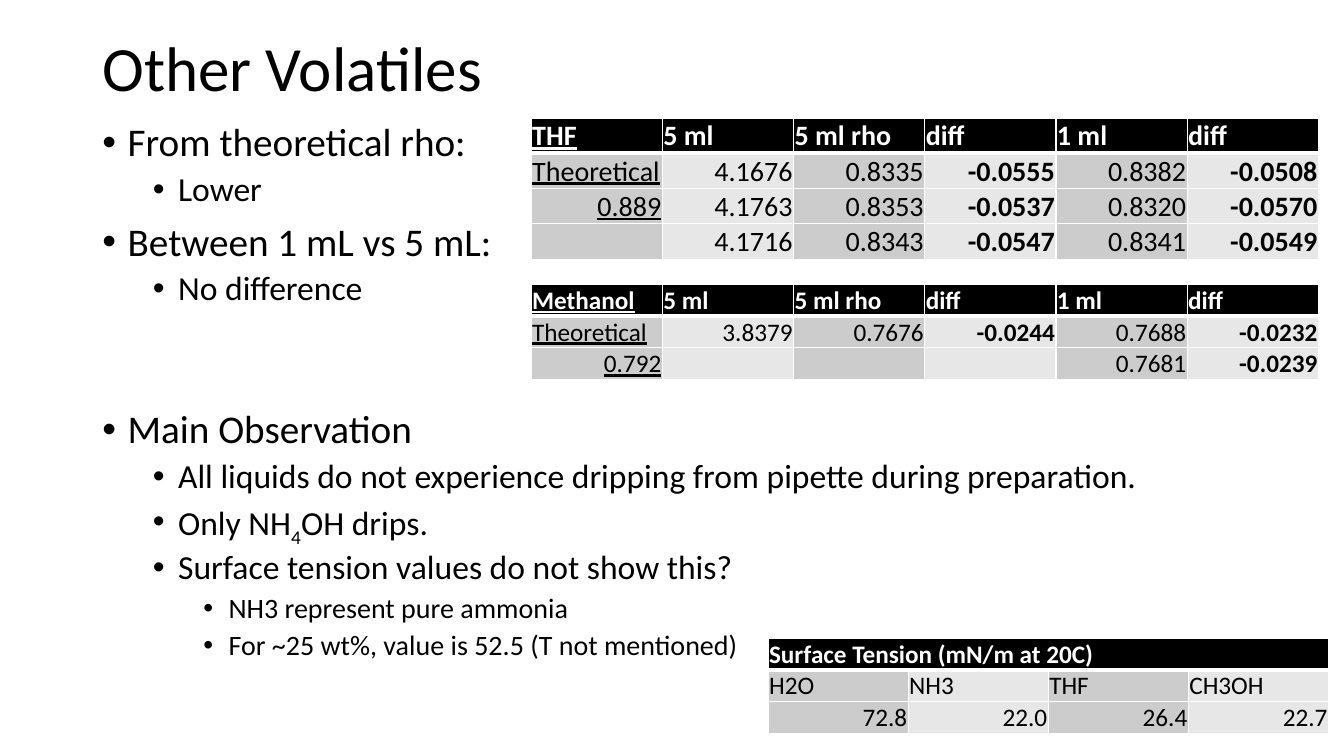
"""Build the slide on density and surface tension of other volatile liquids."""
import lxml.etree
import pptx
import pptx.dml.color
import pptx.enum.text
import pptx.oxml.ns
import pptx.util

COLORS = {"ink": "000000", "paper": "FFFFFF", "dark_band": "CCCCCC", "light_band": "E7E7E7"}
LEVEL_SIZES = (28, 24, 20)
SUBSCRIPT = "-25000"

OBSERVATIONS = (
    (0, 10, [("From theoretical rho:", None)]),
    (1, 5, [("Lower", None)]),
    (0, 10, [("Between 1 mL vs 5 mL:", None)]),
    (1, 5, [("No difference", None)]),
    (0, 72.7, [("Main Observation", None)]),
    (1, 5, [("All liquids do not experience dripping from pipette during preparation.", None)]),
    (1, 5, [("Only NH", None), ("4", SUBSCRIPT), ("OH drips.", None)]),
    (1, 5, [("Surface tension values do not show this?", None)]),
    (2, 5, [("NH3 represent pure ammonia", None)]),
    (2, 5, [("For ~25 wt%, value is 52.5 (T not mentioned)", None)]),
)
MEASURES = ("5 ml", "5 ml rho", "diff", "1 ml", "diff")
THF = (
    ("THF", *MEASURES),
    ("Theoretical", "4.1676", "0.8335", "-0.0555", "0.8382", "-0.0508"),
    ("0.889", "4.1763", "0.8353", "-0.0537", "0.8320", "-0.0570"),
    ("", "4.1716", "0.8343", "-0.0547", "0.8341", "-0.0549"),
)
METHANOL = (
    ("Methanol", *MEASURES),
    ("Theoretical", "3.8379", "0.7676", "-0.0244", "0.7688", "-0.0232"),
    ("0.792", "", "", "", "0.7681", "-0.0239"),
)
SURFACE_TENSION = (
    ("Surface Tension (mN/m at 20C)", "", "", ""),
    ("H2O", "NH3", "THF", "CH3OH"),
    ("72.8", "22.0", "26.4", "22.7"),
)


def add_xml(parent, tag, **attributes):
    return lxml.etree.SubElement(parent, pptx.oxml.ns.qn(tag), attributes)


class VolatilesSlide:
    font = "Calibri"
    columns, rows = 40, 30

    def __init__(self, deck):
        self.column = deck.slide_width / self.columns
        self.row = deck.slide_height / self.rows
        self.slide = deck.slides.add_slide(deck.slide_layouts[1])

    def area(self, left, top, width, height):
        return (round(left * self.column), round(top * self.row),
                round(width * self.column), round(height * self.row))

    def color(self, name):
        return pptx.dml.color.RGBColor.from_string(COLORS[name])

    def add_text(self, paragraph, text, size, color="ink", bold=False, underline=False):
        run = paragraph.add_run()
        run.text = text
        run.font.name = self.font
        run.font.size = pptx.util.Pt(size)
        run.font.bold = bold
        run.font.underline = underline
        run.font.color.rgb = self.color(color)
        return run

    def place(self, holder, area, anchor):
        holder.left, holder.top, holder.width, holder.height = self.area(*area)
        frame = holder.text_frame
        frame.word_wrap = True
        frame.auto_size = pptx.enum.text.MSO_AUTO_SIZE.NONE
        frame.vertical_anchor = anchor
        return frame

    def title(self, text, area):
        frame = self.place(self.slide.shapes.title, area, pptx.enum.text.MSO_ANCHOR.BOTTOM)
        heading = frame.paragraphs[0]
        heading.alignment = pptx.enum.text.PP_ALIGN.LEFT
        heading.line_spacing = 0.7
        self.add_text(heading, text, 45)

    def bullets(self, items, area):
        frame = self.place(self.slide.placeholders[1], area, pptx.enum.text.MSO_ANCHOR.TOP)
        for index, (level, space, runs) in enumerate(items):
            point = frame.add_paragraph() if index else frame.paragraphs[0]
            point.level = level
            point.line_spacing = 0.9
            point.space_before = pptx.util.Pt(space)
            properties = point._p.get_or_add_pPr()
            properties.set("marL", str(pptx.util.Inches(0.25 + 0.5 * level)))
            properties.set("indent", str(pptx.util.Inches(-0.25)))
            add_xml(properties, "a:buFont", typeface="Arial")
            add_xml(properties, "a:buChar", char="•")
            for text, baseline in runs:
                run = self.add_text(point, text, LEVEL_SIZES[level])
                if baseline:
                    run._r.get_or_add_rPr().set("baseline", baseline)

    def borders(self, cell, row):
        properties = cell._tc.get_or_add_tcPr()
        widths = {"L": 1, "R": 1, "T": 3 if row == 1 else 1, "B": 3 if row == 0 else 1}
        for side, width in widths.items():
            line = add_xml(properties, f"a:ln{side}", w=str(pptx.util.Pt(width)))
            add_xml(add_xml(line, "a:solidFill"), "a:srgbClr", val=COLORS["paper"])

    def table(self, values, area, size, underline_first=False):
        grid = self.slide.shapes.add_table(len(values), len(values[0]), *self.area(*area)).table
        grid.first_row = grid.horz_banding = False
        for row, texts in enumerate(values):
            for column, text in enumerate(texts):
                cell = grid.cell(row, column)
                cell.margin_left = cell.margin_top = cell.margin_right = pptx.util.Inches(0.01)
                cell.margin_bottom = 0
                cell.vertical_anchor = pptx.enum.text.MSO_ANCHOR.BOTTOM
                self.borders(cell, row)
                band = "light_band" if column % 2 else "dark_band"
                cell.fill.solid()
                cell.fill.fore_color.rgb = self.color(band if row else "ink")
                entry = cell.text_frame.paragraphs[0]
                entry.font.size = pptx.util.Pt(size)
                if not text:
                    continue
                if text.lstrip("-").replace(".", "").isdigit():
                    entry.alignment = pptx.enum.text.PP_ALIGN.RIGHT
                self.add_text(entry, text, size, "ink" if row else "paper",
                              bold=row == 0 or values[0][column] == "diff",
                              underline=underline_first and column == 0)
        return grid


def main():
    deck = pptx.Presentation()
    deck.slide_width = pptx.util.Inches(13.33)
    deck.slide_height = pptx.util.Inches(7.5)
    volatiles = VolatilesSlide(deck)
    volatiles.title("Other Volatiles", (2.75, 1.6, 34.5, 2.64))
    volatiles.bullets(OBSERVATIONS, (2.75, 4.68, 35.73, 24.08))
    volatiles.table(THF, (15.81, 4.68, 23.43, 5.52), 20, underline_first=True)
    volatiles.table(METHANOL, (15.81, 11.28, 23.43, 3.72), 18, underline_first=True)
    tension = volatiles.table(SURFACE_TENSION, (22.86, 25.32, 16.68, 3.72), 18)
    tension.cell(0, 0).merge(tension.cell(0, 3))
    deck.save("out.pptx")


if __name__ == "__main__":
    main()
